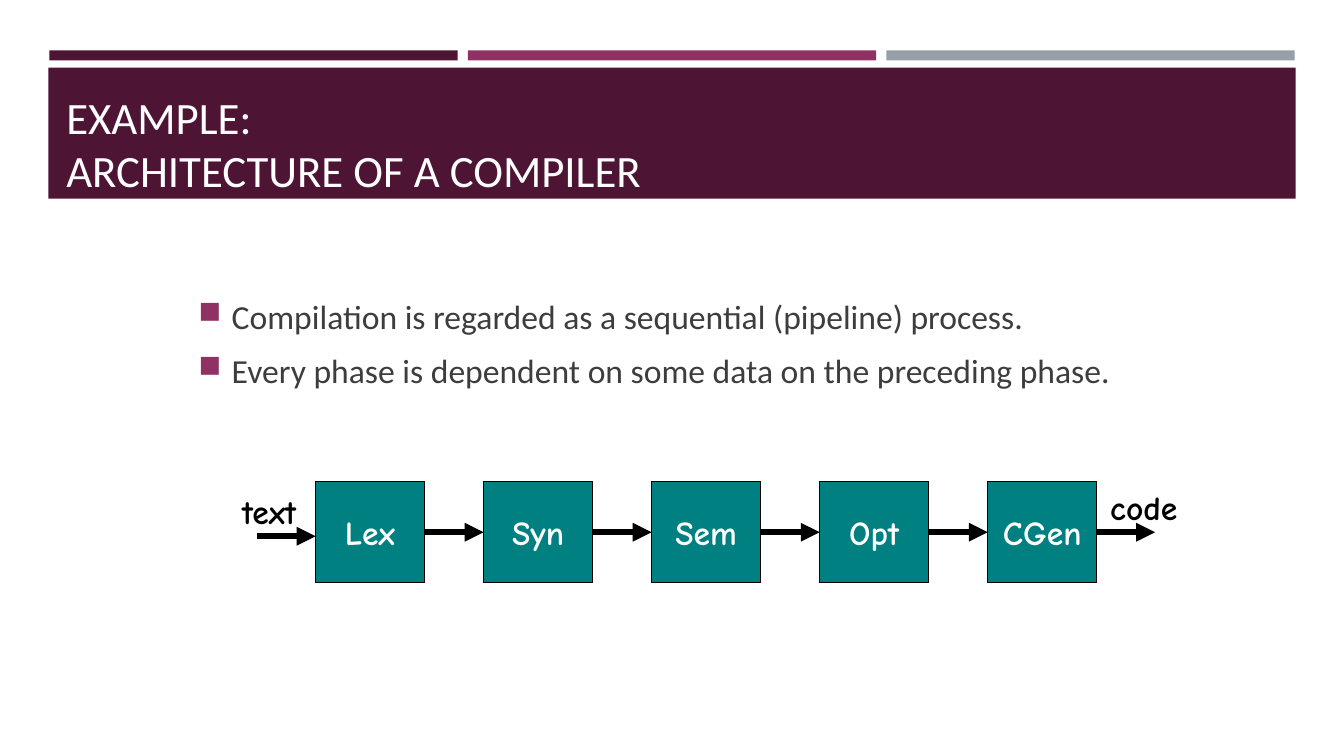
"""Build a slide on the architecture of a compiler as a pipeline of phases."""
from lxml import etree
from pptx import Presentation
from pptx import util as u
from pptx.dml.color import RGBColor
from pptx.enum import shapes, text
from pptx.oxml.ns import qn

TITLE = "EXAMPLE:\vARCHITECTURE OF A COMPILER"
POINTS = [
    "Compilation is regarded as a sequential (pipeline) process.",
    "Every phase is dependent on some data on the preceding phase.",
]
PHASES = ["Lex", "Syn", "Sem", "Opt", "CGen"]
PIPELINE_ENDS = [("text", (2.22, 4.82, 0.9, 0.5)), ("code", (10.88, 4.78, 0.93, 0.5))]

THEME = {
    "plum": "4D1434", "magenta": "903163", "grey": "969FA7", "teal": "008080",
    "white": "FFFFFF", "black": "000000", "body": "3D3D3D",
    "font": "Calibri", "phase_font": "Comic Neue",
    "title_size": 32, "text_size": 24, "arrow_width": 4.5,
}

STRIPE_LEFT, STRIPE_TOP, STRIPE_WIDTH, STRIPE_PITCH = 0.49, 0.5, 4.05, 4.15
PHASE_LEFT, PHASE_TOP, PHASE_WIDTH, PHASE_HEIGHT = 3.13, 4.78, 1.08, 1
PHASE_PITCH = 5 / 3
ARROW_LENGTH, INPUT_Y = 0.58, 5.32
OUTPUT_Y = PHASE_TOP + PHASE_HEIGHT / 2


def color(name):
    return RGBColor.from_string(THEME[name])


def apply(target, values):
    for name, value in values.items():
        setattr(target, name, value)


def add_box(slide, place, fill, line=None):
    box = slide.shapes.add_shape(shapes.MSO_SHAPE.RECTANGLE, *map(u.Inches, place))
    box.shadow.inherit = False
    box.fill.solid()
    box.fill.fore_color.rgb = color(fill)
    if line:
        box.line.color.rgb = color(line)
        box.line.width = u.Pt(1)
    else:
        box.line.fill.background()
    return box


def add_text_box(slide, place):
    return slide.shapes.add_textbox(*map(u.Inches, place))


def write(shape, lines, font, font_color, frame_format, paragraph_format):
    frame = shape.text_frame
    apply(frame, frame_format)
    frame.text = "\n".join(lines)
    for paragraph in frame.paragraphs:
        apply(paragraph, paragraph_format)
        for run in paragraph.runs:
            apply(run.font, font)
            run.font.color.rgb = color(font_color)
    return frame.paragraphs


def write_label(shape, label, font_color):
    write(shape, [label],
          {"name": THEME["phase_font"], "size": u.Pt(THEME["text_size"]), "bold": True},
          font_color,
          {"word_wrap": False, "vertical_anchor": text.MSO_ANCHOR.MIDDLE},
          {"alignment": text.PP_ALIGN.CENTER})


def add_bullet(paragraph):
    properties = paragraph._p.get_or_add_pPr()
    properties.set("marL", str(u.Inches(0.33)))
    properties.set("indent", str(u.Inches(-0.33)))
    bullet_color = etree.SubElement(properties, qn("a:buClr"))
    etree.SubElement(bullet_color, qn("a:srgbClr"), val=THEME["magenta"])
    etree.SubElement(properties, qn("a:buSzPct"), val="92000")
    etree.SubElement(properties, qn("a:buChar"), char="■")


def add_arrow(slide, left, y, source=None, target=None):
    ends = map(u.Inches, (left, y, left + ARROW_LENGTH, y))
    arrow = slide.shapes.add_connector(shapes.MSO_CONNECTOR.STRAIGHT, *ends)
    arrow.line.color.rgb = color("black")
    arrow.line.width = u.Pt(THEME["arrow_width"])
    etree.SubElement(arrow.line._get_or_add_ln(), qn("a:tailEnd"), type="triangle")
    etree.SubElement(arrow._element.spPr, qn("a:effectLst"))
    if source:
        arrow.begin_connect(source, 3)
    if target:
        arrow.end_connect(target, 1)


def add_header(slide):
    for index, fill in enumerate(["plum", "magenta", "grey"]):
        left = STRIPE_LEFT + index * STRIPE_PITCH
        add_box(slide, (left, STRIPE_TOP, STRIPE_WIDTH, 0.1), fill)
    add_box(slide, (0.48, 0.67, 12.37, 1.3), "plum")
    write(add_text_box(slide, (0.56, 0.65, 8.5, 1.33)), [TITLE],
          {"name": THEME["font"], "size": u.Pt(THEME["title_size"])}, "white",
          {"word_wrap": True, "vertical_anchor": text.MSO_ANCHOR.BOTTOM,
           "margin_bottom": u.Inches(0.02)},
          {"line_spacing": 0.97})


def add_points(slide):
    paragraphs = write(add_text_box(slide, (1.87, 2.79, 9.78, 1.68)), POINTS,
                       {"name": THEME["font"], "size": u.Pt(THEME["text_size"])}, "body",
                       {"word_wrap": True, "vertical_anchor": text.MSO_ANCHOR.MIDDLE,
                        "margin_bottom": u.Inches(0.5)},
                       {"space_before": u.Pt(4), "space_after": u.Pt(6)})
    for paragraph in paragraphs:
        add_bullet(paragraph)


def add_pipeline(slide):
    boxes = []
    for index, phase in enumerate(PHASES):
        left = PHASE_LEFT + index * PHASE_PITCH
        box = add_box(slide, (left, PHASE_TOP, PHASE_WIDTH, PHASE_HEIGHT), "teal", "black")
        write_label(box, phase, "white")
        boxes.append(box)
    for label, place in PIPELINE_ENDS:
        write_label(add_text_box(slide, place), label, "black")
    add_arrow(slide, PHASE_LEFT - ARROW_LENGTH, INPUT_Y)
    for index, (source, target) in enumerate(zip(boxes, boxes[1:] + [None])):
        left = PHASE_LEFT + index * PHASE_PITCH + PHASE_WIDTH
        add_arrow(slide, left, OUTPUT_Y, source, target)


def main():
    presentation = Presentation()
    apply(presentation, {"slide_width": u.Inches(13.33), "slide_height": u.Inches(7.5)})
    slide = presentation.slides.add_slide(presentation.slide_layouts[6])
    add_header(slide)
    add_points(slide)
    add_pipeline(slide)
    presentation.save("out.pptx")


if __name__ == "__main__":
    main()
